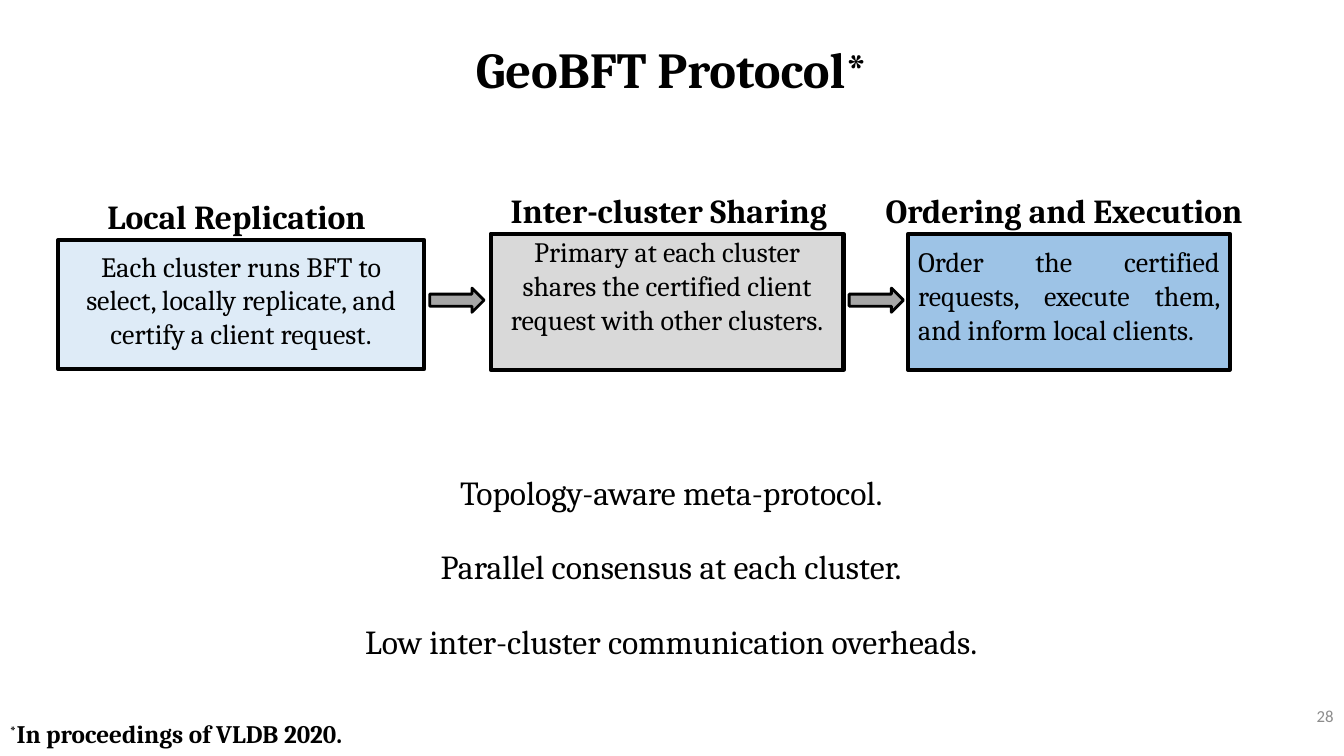
from lxml.etree import SubElement
from pptx import Presentation
from pptx.dml.color import RGBColor
from pptx.enum.shapes import MSO_SHAPE as Preset
from pptx.enum.text import MSO_ANCHOR as Anchor, PP_ALIGN as Align
from pptx.util import Cm, Pt

# Content
TITLE = "GeoBFT Protocol*"
PHASES = [
    # heading, heading (left, top, width), description, box (left, top, width, height),
    # top inset, alignment, fill
    ("Local Replication", (2.46, 4.8, 7.37),
     "Each cluster runs BFT to select, locally replicate, and certify a client request.",
     (1.47, 6.05, 9.22, 3.25), 0.23, Align.CENTER, "pale_blue"),
    ("Inter-cluster Sharing", (12.62, 4.67, 8.61),
     "Primary at each cluster shares the certified client request with other clusters.",
     (12.37, 5.89, 8.89, 3.43), 0.03, Align.CENTER, "light_gray"),
    ("Ordering and Execution", (22.07, 4.65, 9.86),
     "Order the certified requests, execute them, and inform local clients.",
     (22.89, 5.89, 8.1, 3.43), 0.28, Align.JUSTIFY, "blue"),
]
BENEFITS = [
    "Topology-aware meta-protocol.",
    "Parallel consensus at each cluster.",
    "Low inter-cluster communication overheads.",
]
FOOTNOTE_MARK, FOOTNOTE = "*", "In proceedings of VLDB 2020."
PAGE_NUMBER = "28"

COLORS = {
    "black": "000000", "pale_blue": "DEEBF7", "light_gray": "D9D9D9",
    "blue": "9DC3E6", "arrow_gray": "A6A6A6", "page_gray": "8C8C8C",
}
SERIF = "Cambria"
SLIDE_WIDTH, SLIDE_HEIGHT = 33.87, 19.05
ARROW_TOP, ARROW_WIDTH, ARROW_HEIGHT, ARROW_GAP = 7.26, 1.37, 0.61, 0.14


def color(name):
    return RGBColor.from_string(COLORS[name])


def style(paragraph, size, align=Align.LEFT, bold=False, font=SERIF, ink="black"):
    paragraph.alignment = align
    paragraph.font.name = font
    paragraph.font.size = Pt(size)
    paragraph.font.bold = bold
    paragraph.font.color.rgb = color(ink)


def add_text(place, lines, size, wrap=True, anchor=Anchor.TOP, **look):
    frame = slide.shapes.add_textbox(*map(Cm, place)).text_frame
    frame.word_wrap = wrap
    frame.vertical_anchor = anchor
    frame.text = "\n".join(lines)
    for paragraph in frame.paragraphs:
        style(paragraph, size, **look)
    return frame


def add_outlined(preset, place, fill, line_width):
    outlined = slide.shapes.add_shape(preset, *map(Cm, place))
    outlined.shadow.inherit = False
    outlined.fill.solid()
    outlined.fill.fore_color.rgb = color(fill)
    outlined.line.color.rgb = color("black")
    outlined.line.width = Pt(line_width)
    return outlined


prs = Presentation()
prs.slide_width, prs.slide_height = Cm(SLIDE_WIDTH), Cm(SLIDE_HEIGHT)
slide = prs.slides.add_slide(prs.slide_layouts[5])

# Title
title = slide.shapes.title
title.left, title.top, title.width, title.height = map(Cm, (0, 0.99, SLIDE_WIDTH, 1.68))
title.text_frame.text = TITLE
title.text_frame.vertical_anchor = Anchor.MIDDLE
title_line = title.text_frame.paragraphs[0]
title_line.line_spacing = 0.9
style(title_line, 36, Align.CENTER, bold=True)

# Phases with their headings
for heading, heading_place, description, place, inset, align, fill in PHASES:
    add_text((*heading_place, 1.27), [heading], 24, wrap=False, bold=True)
    phase = add_outlined(Preset.RECTANGLE, place, fill, 3)
    frame = phase.text_frame
    frame.word_wrap = True
    frame.vertical_anchor = Anchor.TOP
    frame.margin_top = Cm(inset)
    frame.text = description
    style(frame.paragraphs[0], 20, align)

# Arrows from each phase to the next
for _, _, _, (left, _, width, _), *_ in PHASES[:-1]:
    add_outlined(Preset.RIGHT_ARROW,
                 (left + width + ARROW_GAP, ARROW_TOP, ARROW_WIDTH, ARROW_HEIGHT),
                 "arrow_gray", 2)

# Benefits
benefits = add_text((0.86, 11.25, 32.11, 5.44), BENEFITS, 24, align=Align.CENTER)
for index, benefit in enumerate(benefits.paragraphs):
    benefit.line_spacing = 1.5
    benefit.space_before = Pt(10 if index else 0)

# Footnote and page number
footnote = add_text((0, 18.06, 10.64, 0.94), [FOOTNOTE_MARK], 18,
                    anchor=Anchor.BOTTOM, bold=True).paragraphs[0]
footnote.line_spacing = 0.9
footnote.runs[0].font._element.set("baseline", "30000")
footnote.add_run().text = FOOTNOTE
add_text((29.54, 17.53, 4.32, 1.02), [PAGE_NUMBER], 12, anchor=Anchor.MIDDLE,
         align=Align.RIGHT, font="Calibri", ink="page_gray")

prs.save("out.pptx")
